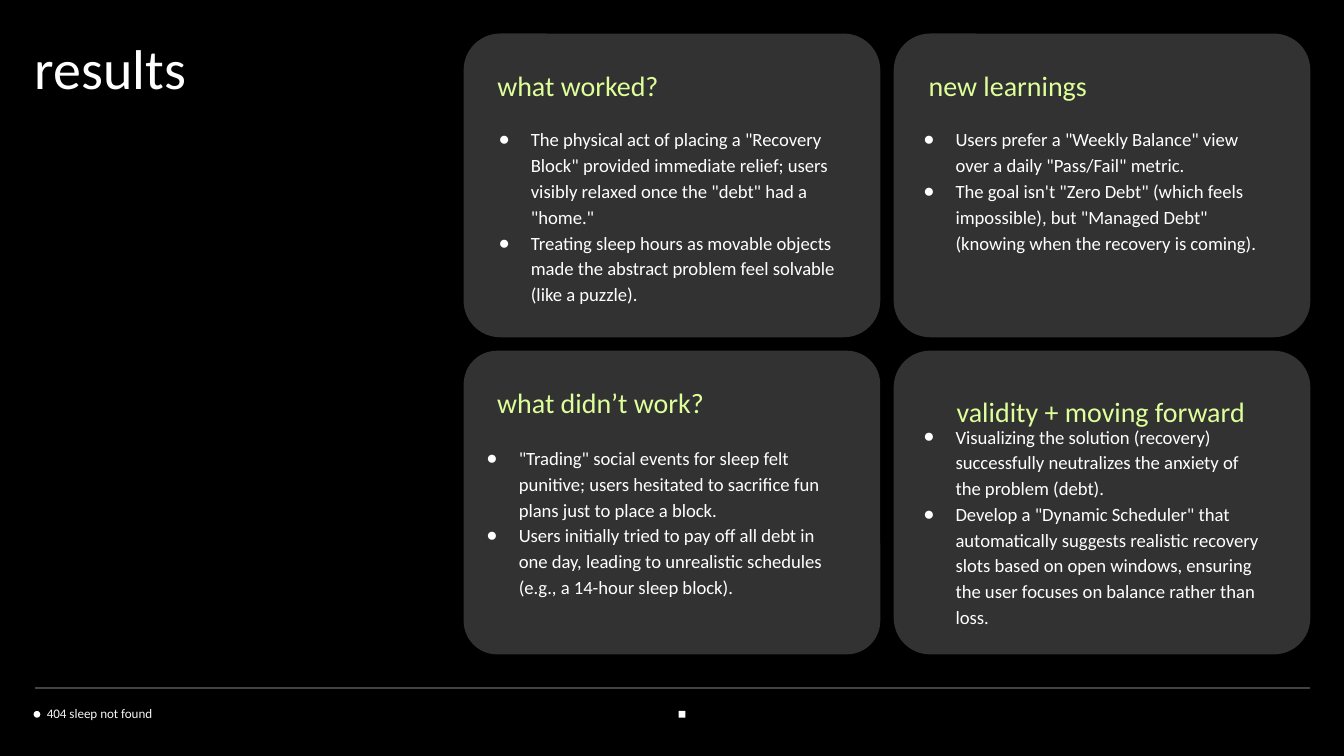
from lxml import etree
from pptx import Presentation
from pptx.dml.color import RGBColor
from pptx.enum.shapes import MSO_CONNECTOR as Connector, MSO_SHAPE as Preset
from pptx.enum.text import MSO_ANCHOR as Anchor, MSO_AUTO_SIZE as AutoSize, PP_ALIGN as Align
from pptx.oxml.ns import qn
from pptx.util import Inches, Pt

BLACK = RGBColor(0x00, 0x00, 0x00)
WHITE = RGBColor(0xFF, 0xFF, 0xFF)
CARD_GRAY = RGBColor(0x32, 0x32, 0x32)
RULE_GRAY = RGBColor(0x43, 0x43, 0x43)
LIME = RGBColor(0xDE, 0xFF, 0x9A)
FOOTER_WHITE = RGBColor(0xF5, 0xF5, 0xF5)

CARD_LEFT, CARD_TOP = 3.45, 0.25
CARD_WIDTH, CARD_HEIGHT = 3.1, 2.26
COLUMN_STEP, ROW_STEP = 3.2, 2.36
LIST_WIDTH, LIST_HEIGHT = 2.67, 1.38
TEXT_INSETS = (0, 0, 0.1, 0.1)

CARDS = [
    {
        "column": 0, "row": 0, "corner": 0.12,
        "heading": "what worked?", "heading_box": (3.7, 0.41, 1.78, 0.45),
        "list_at": (3.7, 0.93),
        "items": [
            'The physical act of placing a "Recovery Block" provided immediate relief; '
            'users visibly relaxed once the "debt" had a "home."',
            "Treating sleep hours as movable objects made the abstract problem feel "
            "solvable (like a puzzle).",
        ],
    },
    {
        "column": 1, "row": 0, "corner": 0.12,
        "heading": "new learnings", "heading_box": (6.91, 0.41, 2.02, 0.45),
        "list_at": (6.86, 0.93),
        "items": [
            'Users prefer a "Weekly Balance" view over a daily "Pass/Fail" metric.',
            'The goal isn\'t "Zero Debt" (which feels impossible), but "Managed Debt" '
            "(knowing when the recovery is coming).",
        ],
    },
    {
        "column": 0, "row": 1, "corner": 0.11,
        "heading": "what didn’t work?", "heading_box": (3.7, 2.69, 2.23, 0.53),
        "list_at": (3.61, 3.3),
        "items": [
            '"Trading" social events for sleep felt punitive; users hesitated to '
            "sacrifice fun plans just to place a block.",
            "Users initially tried to pay off all debt in one day, leading to "
            "unrealistic schedules (e.g., a 14-hour sleep block).",
        ],
    },
    {
        "column": 1, "row": 1, "corner": 0.12,
        "heading": "validity + moving forward", "heading_box": (6.73, 2.76, 3.02, 0.53),
        "heading_align": Align.CENTER,
        "list_at": (6.86, 3.14),
        "items": [
            "Visualizing the solution (recovery) successfully neutralizes the anxiety "
            "of the problem (debt).",
            'Develop a "Dynamic Scheduler" that automatically suggests realistic '
            "recovery slots based on open windows, ensuring the user focuses on "
            "balance rather than loss.",
        ],
    },
]


def add_bullet(paragraph):
    properties = paragraph._p.get_or_add_pPr()
    properties.set("marL", str(Inches(0.25)))
    properties.set("indent", str(Inches(-0.24)))
    color = etree.SubElement(properties, qn("a:buClr"))
    etree.SubElement(color, qn("a:srgbClr")).set("val", str(WHITE))
    etree.SubElement(properties, qn("a:buChar")).set("char", "●")


def write_text(shape, lines, box, size, color=WHITE, insets=TEXT_INSETS, anchor=Anchor.TOP,
               align=Align.LEFT, spacing=1.0, bullets=False):
    shape.left, shape.top, shape.width, shape.height = map(Inches, box)
    frame = shape.text_frame
    frame.word_wrap = True
    frame.auto_size = AutoSize.NONE
    frame.vertical_anchor = anchor
    (frame.margin_left, frame.margin_top,
     frame.margin_right, frame.margin_bottom) = map(Inches, insets)
    frame.text = "\n".join(lines)
    for paragraph in frame.paragraphs:
        paragraph.alignment = align
        paragraph.line_spacing = spacing
        paragraph.space_before = Pt(0)
        if bullets:
            add_bullet(paragraph)
        font = paragraph.runs[0].font
        font.name = "Calibri"
        font.size = Pt(size)
        font.bold = False
        font.color.rgb = color


def add_text(slide, text, box, **text_format):
    write_text(slide.shapes.add_textbox(0, 0, 0, 0), [text], box, **text_format)


def add_filled(slide, preset, box, fill):
    shape = slide.shapes.add_shape(preset, *map(Inches, box))
    shape.shadow.inherit = False
    shape.fill.solid()
    shape.fill.fore_color.rgb = fill
    shape.line.fill.background()
    return shape


def add_footer(slide):
    rule = slide.shapes.add_connector(
        Connector.STRAIGHT, Inches(0.26), Inches(5.12), Inches(9.75), Inches(5.12))
    rule.line.color.rgb = RULE_GRAY
    rule.line.width = Pt(0.75)
    etree.SubElement(rule._element.spPr, qn("a:effectLst"))
    add_filled(slide, Preset.OVAL, (0.25, 5.29, 0.05, 0.05), WHITE)
    add_filled(slide, Preset.RECTANGLE, (5.05, 5.29, 0.05, 0.05), WHITE)
    add_text(slide, "404 sleep not found", (0.25, 5.16, 2.95, 0.26), size=7,
             color=FOOTER_WHITE, insets=(0.1, 0.07, 0.1, 0.07), spacing=1.15)


def add_card(slide, card, list_placeholder):
    left = CARD_LEFT + card["column"] * COLUMN_STEP
    top = CARD_TOP + card["row"] * ROW_STEP
    panel = add_filled(slide, Preset.ROUNDED_RECTANGLE,
                       (left, top, CARD_WIDTH, CARD_HEIGHT), CARD_GRAY)
    panel.adjustments[0] = card["corner"]
    add_text(slide, card["heading"], card["heading_box"], size=15, color=LIME,
             anchor=Anchor.BOTTOM, align=card.get("heading_align", Align.LEFT), spacing=0.85)
    slide.shapes._spTree.append(list_placeholder._element)
    write_text(list_placeholder, card["items"], (*card["list_at"], LIST_WIDTH, LIST_HEIGHT),
               size=10, spacing=1.15, bullets=True)


def main():
    presentation = Presentation()
    presentation.slide_width = Inches(10)
    presentation.slide_height = Inches(10) * 9 // 16
    comparison_layout = presentation.slide_layouts[4]
    slide = presentation.slides.add_slide(comparison_layout)
    slide.background.fill.solid()
    slide.background.fill.fore_color.rgb = BLACK

    title, *list_placeholders = list(slide.placeholders)
    write_text(title, ["results"], (0.26, 0.25, 2.4, 0.25), size=30, insets=(0, 0, 0, 0))
    add_footer(slide)
    for card, list_placeholder in zip(CARDS, list_placeholders):
        add_card(slide, card, list_placeholder)

    presentation.save("out.pptx")


if __name__ == "__main__":
    main()
